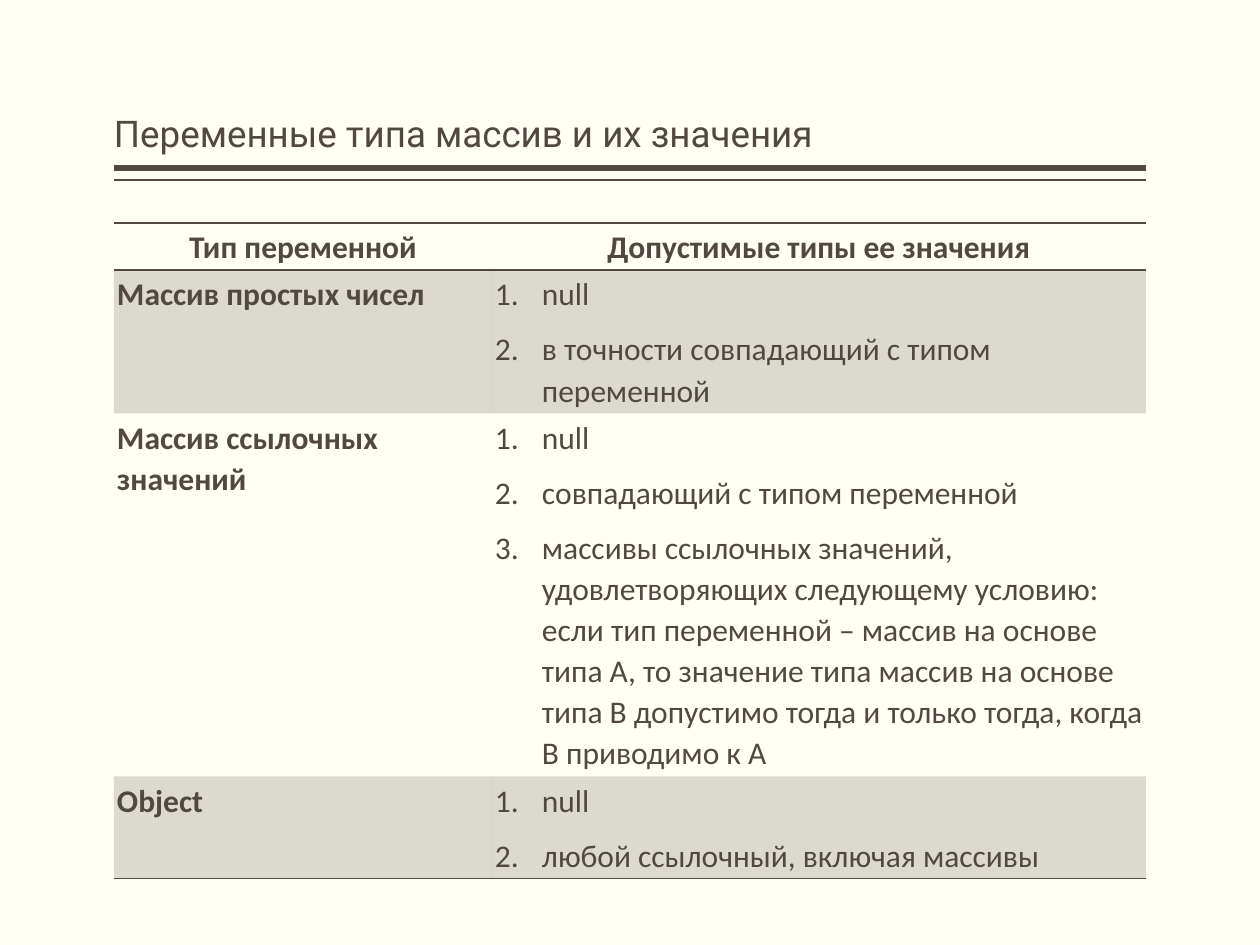
from dataclasses import dataclass

from lxml.etree import SubElement
from pptx import Presentation
from pptx.dml.color import RGBColor
from pptx.enum.shapes import MSO_CONNECTOR
from pptx.enum.text import MSO_ANCHOR, PP_ALIGN
from pptx.oxml import parse_xml
from pptx.oxml.ns import nsdecls, qn
from pptx.util import Pt

TITLE = "Переменные типа массив и их значения"
HEADERS = ("Тип переменной", "Допустимые типы ее значения")
RULES = [
    ("Массив простых чисел",
     ["null", "в точности совпадающий с типом переменной"]),
    ("Массив ссылочных значений",
     ["null",
      "совпадающий с типом переменной",
      "массивы ссылочных значений, удовлетворяющих следующему условию: "
      "если тип переменной – массив на основе типа A, то значение типа "
      "массив на основе типа B допустимо тогда и только тогда, "
      "когда B приводимо к A"]),
    ("Object",
     ["null", "любой ссылочный, включая массивы"]),
]


@dataclass(frozen=True)
class Theme:
    ink: str = "514843"
    paper: str = "FFFFF3"
    band_alpha: int = 20
    title_font: str = "Roboto"
    body_font: str = "Calibri"
    title_size: int = 21
    body_size: int = 18
    title_spacing: float = 0.9
    body_spacing: float = 1.07


THEME = Theme()
INK = RGBColor.from_string(THEME.ink)
PX = 914400 / 126
LEFT, WIDTH = 114, 1032
TITLE_TOP, TITLE_HEIGHT = 10, 151
TITLE_RULES = [(168, 3), (180, 1)]  # y in px, weight in points
TABLE_TOP = 223
COLUMNS = (378, 654)
ROWS = (46, 142, 362, 102)
CELL_INSET = 3
LIST_INDENT = 47
NO_STYLE = "{2D5ABB26-0587-4C30-8999-92F81FD0307C}"


def px(length):
    return round(length * PX)


def style_runs(paragraph, font, size, bold=False):
    for run in paragraph.runs:
        run.font.name = font
        run.font.size = Pt(size)
        run.font.bold = bold
        run.font.color.rgb = INK


def add_title(slide):
    title = slide.shapes.title
    title.left, title.top = px(LEFT), px(TITLE_TOP)
    title.width, title.height = px(WIDTH), px(TITLE_HEIGHT)
    frame = title.text_frame
    frame.text = TITLE
    frame.word_wrap = True
    frame.vertical_anchor = MSO_ANCHOR.BOTTOM
    frame.margin_left = frame.margin_right = 0
    frame.margin_top = frame.margin_bottom = px(6)
    heading = frame.paragraphs[0]
    heading.alignment = PP_ALIGN.LEFT
    heading.line_spacing = THEME.title_spacing
    style_runs(heading, THEME.title_font, THEME.title_size)


def add_title_rule(slide, y, weight):
    rule = slide.shapes.add_connector(
        MSO_CONNECTOR.STRAIGHT, px(LEFT + WIDTH), px(y), px(LEFT), px(y))
    rule.line.color.rgb = INK
    rule.line.width = Pt(weight)
    SubElement(rule._element.spPr, qn("a:effectLst"))


def number_item(paragraph):
    """Make the paragraph an item of an automatically numbered list."""
    paragraph.space_after = Pt(8)
    properties = paragraph._p.get_or_add_pPr()
    properties.set("marL", str(px(LIST_INDENT)))
    properties.set("indent", str(-px(LIST_INDENT)))
    SubElement(properties, qn("a:buFont"), typeface="+mj-lt")
    SubElement(properties, qn("a:buAutoNum"), type="arabicPeriod")


def fill_cell(cell, lines, bold=False, numbered=False, align=PP_ALIGN.LEFT):
    cell.margin_left = cell.margin_right = px(CELL_INSET)
    cell.margin_top = cell.margin_bottom = px(CELL_INSET)
    cell.text_frame.text = "\n".join(lines)
    for paragraph in cell.text_frame.paragraphs:
        paragraph.alignment = align
        paragraph.line_spacing = THEME.body_spacing
        style_runs(paragraph, THEME.body_font, THEME.body_size, bold)
        if numbered:
            number_item(paragraph)


def paint_cell(cell, banded, edges):
    """Set a translucent band or no fill, and draw the named edges."""
    if banded:
        cell.fill.solid()
        cell.fill.fore_color.rgb = INK
        color = cell._tc.tcPr.find(".//" + qn("a:srgbClr"))
        SubElement(color, qn("a:alpha"), val=str(THEME.band_alpha * 1000))
    else:
        cell.fill.background()
    for position, edge in enumerate(edges):
        cell._tc.tcPr.insert(position, parse_xml(
            f'<a:{edge} {nsdecls("a")} w="{Pt(1)}"><a:solidFill>'
            f'<a:srgbClr val="{THEME.ink}"/></a:solidFill></a:{edge}>'))


def add_rules_table(slide):
    table = slide.shapes.add_table(
        len(ROWS), len(COLUMNS), px(LEFT), px(TABLE_TOP),
        px(WIDTH), px(sum(ROWS))).table
    table.horz_banding = False
    table._tbl.tblPr.find(qn("a:tableStyleId")).text = NO_STYLE
    for column, width in zip(table.columns, COLUMNS):
        column.width = px(width)
    for row, height in zip(table.rows, ROWS):
        row.height = px(height)

    for column, header in enumerate(HEADERS):
        cell = table.cell(0, column)
        fill_cell(cell, [header], bold=True, align=PP_ALIGN.CENTER)
        cell.vertical_anchor = MSO_ANCHOR.MIDDLE
        paint_cell(cell, False, ("lnT", "lnB"))

    for row, (variable, values) in enumerate(RULES, start=1):
        fill_cell(table.cell(row, 0), [variable], bold=True)
        fill_cell(table.cell(row, 1), values, numbered=True)
        edges = ("lnB",) if row == len(RULES) else ()
        for cell in table.rows[row].cells:
            paint_cell(cell, row % 2 == 1, edges)


def main():
    deck = Presentation()
    deck.slide_width, deck.slide_height = px(1260), px(945)
    slide = deck.slides.add_slide(deck.slide_layouts[5])
    slide.background.fill.solid()
    slide.background.fill.fore_color.rgb = RGBColor.from_string(THEME.paper)
    for y, weight in TITLE_RULES:
        add_title_rule(slide, y, weight)
    add_title(slide)
    add_rules_table(slide)
    deck.save("out.pptx")


if __name__ == "__main__":
    main()
